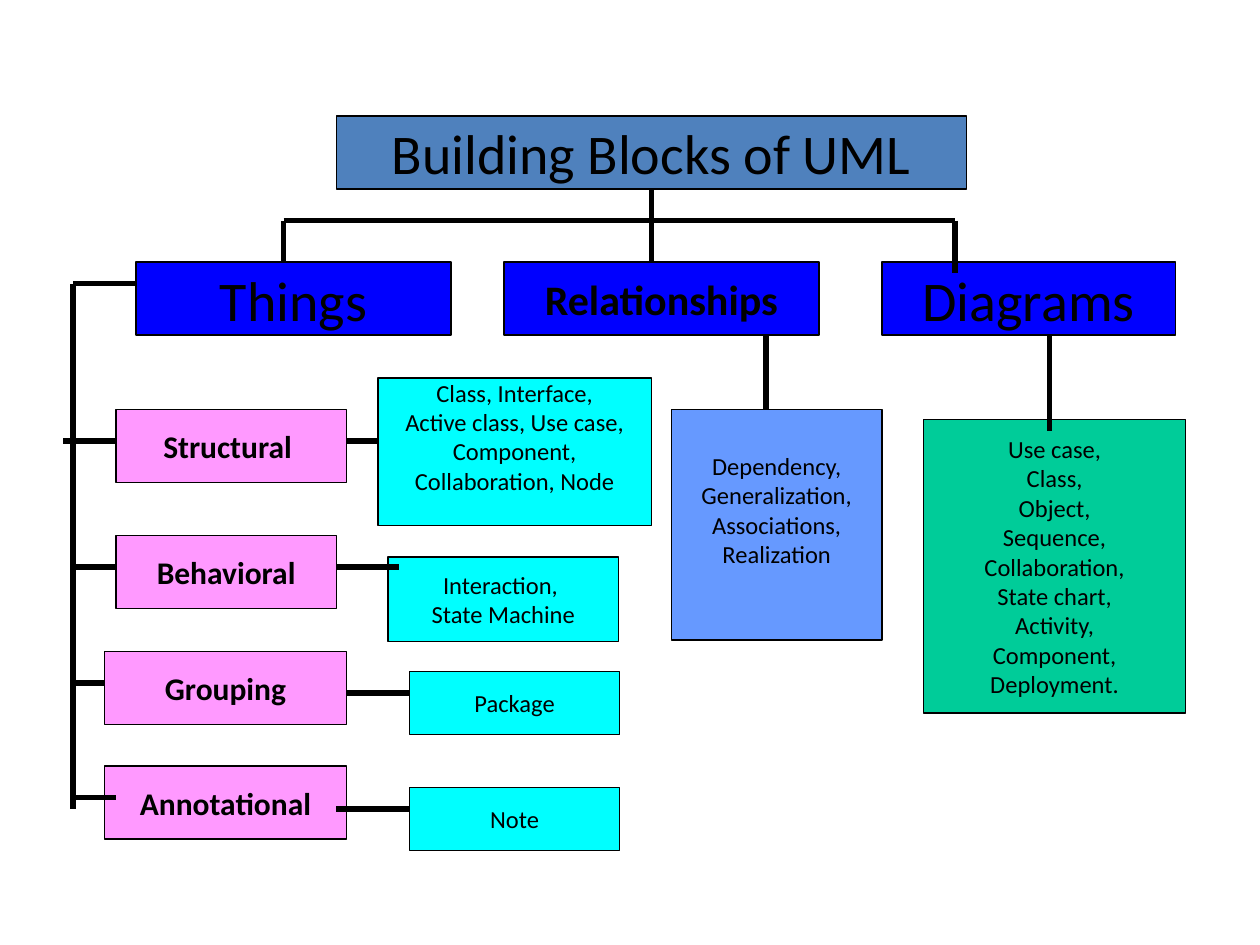
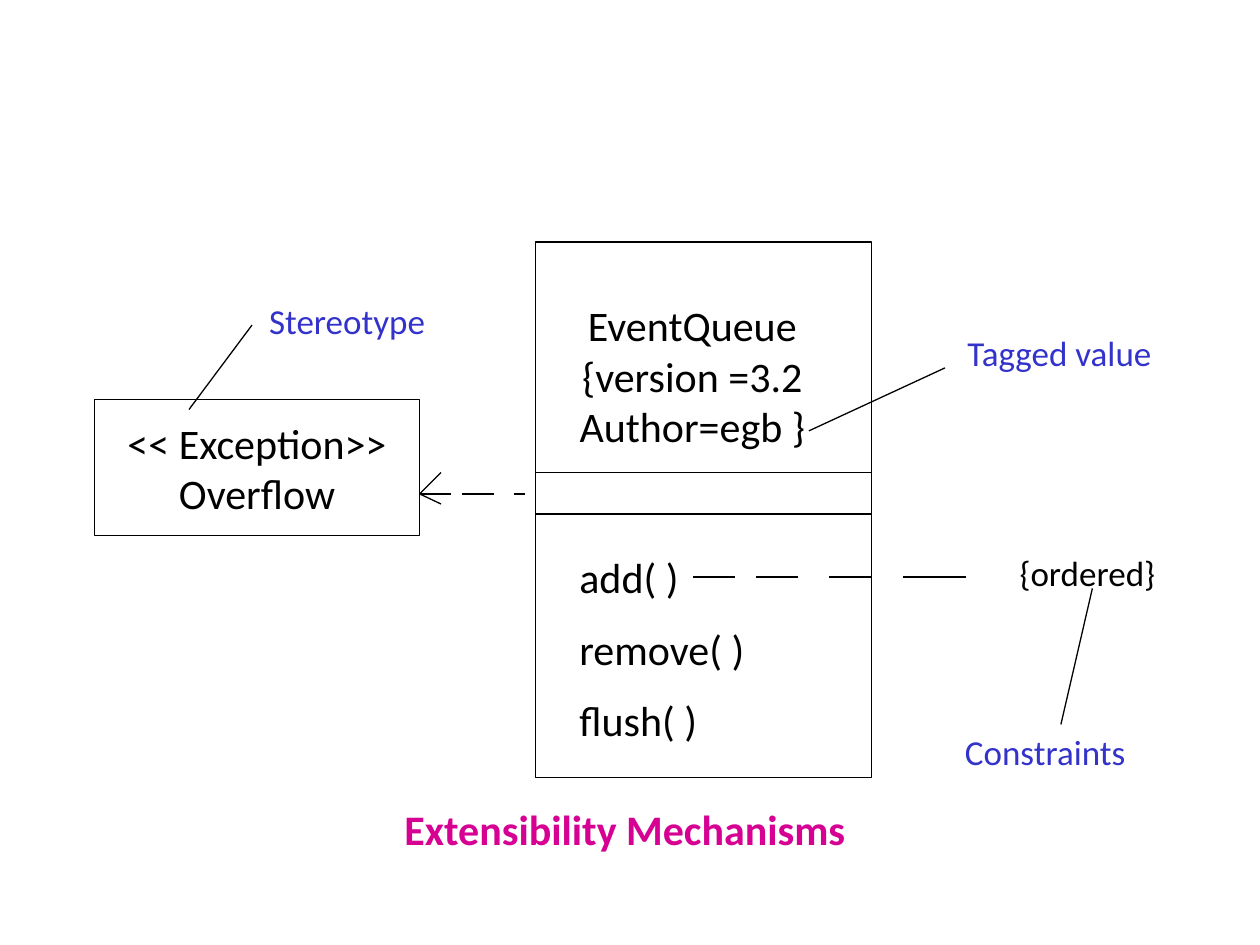
from lxml.etree import SubElement
from pptx import Presentation
from pptx.dml.color import RGBColor
from pptx.enum.shapes import MSO_CONNECTOR, MSO_SHAPE
from pptx.enum.text import MSO_ANCHOR, MSO_AUTO_SIZE, PP_ALIGN
from pptx.oxml.ns import qn
from pptx.util import Inches, Pt

FONT = "Calibri"
BLACK = RGBColor(0x00, 0x00, 0x00)
STEEL = RGBColor(0x4F, 0x81, 0xBD)
BLUE = RGBColor(0x00, 0x00, 0xFF)
PINK = RGBColor(0xFF, 0x99, 0xFF)
CYAN = RGBColor(0x00, 0xFF, 0xFF)
SKY = RGBColor(0x66, 0x99, 0xFF)
GREEN = RGBColor(0x00, 0xCC, 0x99)
INDIGO = RGBColor(0x33, 0x33, 0xCC)
MAGENTA = RGBColor(0xD6, 0x00, 0x93)

THIN, THICK = 0.75, 3
TITLE_ONLY = 5


# Shared elements
def write_text(frame, lines, size, color=BLACK, bold=False,
               align=PP_ALIGN.CENTER, gap=0):
    """Write one paragraph per line, with a gap in points between them."""
    for index, line in enumerate(lines):
        para = frame.add_paragraph() if index else frame.paragraphs[0]
        para.alignment = align
        para.space_before = Pt(gap if index else 0)
        span = para.add_run()
        span.text = line
        span.font.name = FONT
        span.font.size = Pt(size)
        span.font.bold = bold
        span.font.color.rgb = color


def outline(shape, fill=None):
    if fill is None:
        shape.fill.background()
    else:
        shape.fill.solid()
        shape.fill.fore_color.rgb = fill
    shape.line.color.rgb = BLACK
    shape.line.width = Pt(THIN)


def add_title(page, place, text, size, color=BLACK, bold=False):
    title = page.shapes.title
    title.left, title.top, title.width, title.height = map(Inches, place)
    frame = title.text_frame
    frame.auto_size = MSO_AUTO_SIZE.NONE
    frame.vertical_anchor = MSO_ANCHOR.MIDDLE
    write_text(frame, [text], size, color, bold)
    return title


def add_box(page, place, lines=(), size=14, fill=None, bold=False, lift=0):
    """Add an outlined box; lift is extra room kept below the text."""
    box = page.shapes.add_shape(MSO_SHAPE.RECTANGLE, *map(Inches, place))
    box.shadow.inherit = False
    outline(box, fill)
    frame = box.text_frame
    frame.word_wrap = False
    frame.vertical_anchor = MSO_ANCHOR.MIDDLE
    frame.margin_bottom = Inches(0.05 + lift)
    write_text(frame, lines, size, bold=bold)


def add_label(page, place, lines, size=20, color=BLACK,
              align=PP_ALIGN.CENTER, gap=0):
    label = page.shapes.add_textbox(*map(Inches, place))
    label.text_frame.word_wrap = True
    write_text(label.text_frame, lines, size, color, align=align, gap=gap)


def add_lines(page, ends, width):
    """Draw straight lines, each given as x1, y1, x2, y2."""
    for points in ends:
        line = page.shapes.add_connector(MSO_CONNECTOR.STRAIGHT,
                                         *map(Inches, points))
        line.line.color.rgb = BLACK
        line.line.width = Pt(width)
        SubElement(line._element.spPr, qn("a:effectLst"))


def add_dashes(page, y, spans):
    add_lines(page, [(start, y, end, y) for start, end in spans], THIN)


# Slide 1: tree of building blocks
def build_blocks(page):
    title = add_title(page, (2.67, 0.92, 5, 0.58), "Building Blocks of UML", 32)
    outline(title, STEEL)

    # Main branches
    for left, width, name, size, bold in (
            (1.08, 2.5, "Things", 32, False),
            (4, 2.5, "Relationships", 24, True),
            (7, 2.33, "Diagrams", 32, False)):
        add_box(page, (left, 2.08, width, 0.58), [name], size, BLUE, bold)

    # Kinds of things
    for left, top, width, kind in (
            (0.92, 3.25, 1.83, "Structural "),
            (0.92, 4.25, 1.75, "Behavioral"),
            (0.83, 5.17, 1.92, "Grouping"),
            (0.83, 6.08, 1.92, "Annotational")):
        add_box(page, (left, top, width, 0.58), [kind], 18, PINK, True)

    # Trunk at the left and its twigs
    add_lines(page, [(1.08, 2.25, 0.58, 2.25), (0.58, 2.25, 0.58, 6.42)], THICK)
    add_lines(page, [(start, y, end, y) for start, y, end in (
        (0.5, 3.5, 0.92), (0.58, 4.5, 0.92),
        (0.58, 5.42, 0.83), (0.58, 6.33, 0.92))], THICK)

    # Members of each group
    for place, fill, lift, members in (
            ((3, 3, 2.17, 1.17), CYAN, 0.24,
             ["Class, Interface,", "Active class, Use case,",
              "Component,", "Collaboration, Node"]),
            ((3.08, 4.42, 1.83, 0.67), CYAN, 0,
             ["Interaction, ", "State Machine"]),
            ((3.25, 5.33, 1.67, 0.5), CYAN, 0, ["Package"]),
            ((3.25, 6.25, 1.67, 0.5), CYAN, 0, ["Note"]),
            ((5.33, 3.25, 1.67, 1.83), SKY, 0.24,
             ["Dependency,", "Generalization,", "Associations,",
              "Realization"]),
            ((7.33, 3.33, 2.08, 2.33), GREEN, 0,
             ["Use case,", "Class,", "Object,", "Sequence,",
              "Collaboration,", "State chart,", "Activity,", "Component,",
              "Deployment."])):
        add_box(page, place, members, fill=fill, lift=lift)

    # Links from the title, then to the members
    add_lines(page, [(2.25, 1.75, 7.58, 1.75)], THICK)
    add_lines(page, [(x, top, x, bottom) for x, top, bottom in (
        (5.17, 1.5, 2.08), (2.25, 1.75, 2.08), (7.58, 1.75, 2.17),
        (6.08, 2.67, 3.25), (8.33, 2.67, 3.42))], THICK)
    add_lines(page, [(start, y, end, y) for start, y, end in (
        (2.75, 3.5, 3), (2.67, 4.5, 3.17),
        (2.75, 5.5, 3.25), (2.67, 6.42, 3.25))], THICK)


# Slide 2: annotated class diagram
def build_extensibility(page):
    add_title(page, (1.92, 6.33, 6.08, 0.5), "Extensibility Mechanisms", 24,
              MAGENTA, True)

    # Exception class
    add_box(page, (0.75, 3.17, 2.58, 1.08), ["<< Exception>>", "Overflow"], 24)

    # Event queue class and its compartments
    add_box(page, (4.25, 1.92, 2.67, 4.25))
    add_lines(page, [(4.25, y, 6.92, y) for y in (3.75, 4.08)], THIN)
    add_label(page, (4.33, 2.33, 2.33, 1.9),
              ["EventQueue", "{version =3.2", "Author=egb }"], 24)
    add_label(page, (4.5, 4.33, 1.92, 2.3),
              ["add( )", "remove( )", "flush( )"], 24,
              align=PP_ALIGN.LEFT, gap=12)

    # Dashed arrow to the exception, and dashes to the constraint
    add_dashes(page, 3.92, [(3.33, 3.58), (3.67, 3.92), (4.08, 4.17)])
    add_lines(page, [(3.5, 3.75, 3.33, 3.92), (3.33, 3.92, 3.5, 4)], THIN)
    add_dashes(page, 4.58,
               [(5.5, 5.83), (6, 6.33), (6.58, 6.92), (7.17, 7.67)])
    add_label(page, (7.92, 4.33, 1.42, 0.43), ["{ordered}"])

    # Callouts with their pointers
    for place, name, align, pointer in (
            ((1.42, 2.33, 2.67, 0.43), "Stereotype", PP_ALIGN.CENTER,
             (1.5, 3.25, 2, 2.58)),
            ((7.58, 2.58, 1.83, 0.77), "Tagged value", PP_ALIGN.LEFT,
             (6.42, 3.42, 7.5, 2.92)),
            ((7.42, 5.75, 1.75, 0.43), "Constraints", PP_ALIGN.CENTER,
             (8.67, 4.67, 8.42, 5.75))):
        add_lines(page, [pointer], THIN)
        add_label(page, place, [name], color=INDIGO, align=align)


def main():
    deck = Presentation()
    deck.slide_width, deck.slide_height = Inches(10), Inches(7.5)
    for build in (build_blocks, build_extensibility):
        build(deck.slides.add_slide(deck.slide_layouts[TITLE_ONLY]))
    deck.save("out.pptx")


if __name__ == "__main__":
    main()
